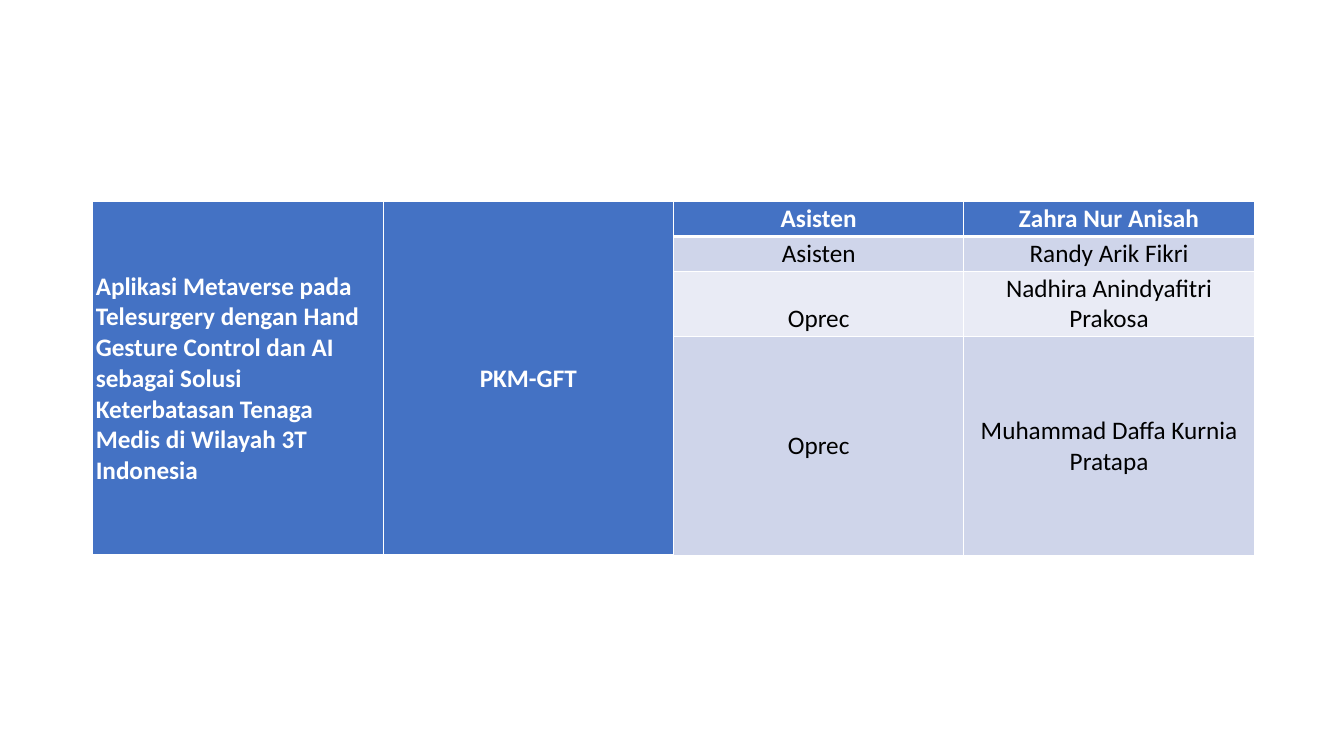
from dataclasses import dataclass

from lxml.etree import SubElement
from pptx import Presentation
from pptx.dml.color import RGBColor
from pptx.enum.text import MSO_ANCHOR as Anchor, PP_ALIGN as Align
from pptx.oxml.ns import qn
from pptx.table import Table, _Cell as Cell
from pptx.util import Inches, Pt

WHITE = RGBColor(0xFF, 0xFF, 0xFF)
BLACK = RGBColor(0x00, 0x00, 0x00)
BLUE = RGBColor(0x44, 0x72, 0xC4)
BAND_DARK = RGBColor(0xCF, 0xD5, 0xEA)
BAND_LIGHT = RGBColor(0xE9, 0xEB, 0xF5)

ROWS, COLUMNS = 4, 4
COLUMN_WIDTH, ROW_HEIGHT = Inches(2.88), Inches(0.22)
CELL_FORMAT = {
    "margin_left": Inches(0.03),
    "margin_right": Inches(0.03),
    "margin_top": Inches(0.02),
    "margin_bottom": Inches(0.02),
}
HEADER_BORDERS = {"lnL": 1, "lnR": 1, "lnT": 1, "lnB": 3}

TITLE = (
    "Aplikasi Metaverse pada Telesurgery dengan Hand Gesture Control dan AI "
    "sebagai Solusi Keterbatasan Tenaga Medis di Wilayah 3T Indonesia"
)


@dataclass
class Entry:
    row: int
    column: int
    text: str
    anchor: Anchor = Anchor.MIDDLE
    align: Align = Align.CENTER
    row_span: int = 1


ENTRIES = [
    Entry(0, 0, TITLE, align=Align.LEFT, row_span=ROWS),
    Entry(0, 1, "PKM-GFT", row_span=ROWS),
    Entry(0, 2, "Asisten"),
    Entry(0, 3, "Zahra Nur Anisah"),
    Entry(1, 2, "Asisten", Anchor.BOTTOM),
    Entry(1, 3, "Randy Arik Fikri"),
    Entry(2, 2, "Oprec", Anchor.BOTTOM),
    Entry(2, 3, "Nadhira Anindyafitri Prakosa", Anchor.BOTTOM),
    Entry(3, 2, "Oprec"),
    Entry(3, 3, "Muhammad Daffa Kurnia Pratapa"),
]


def add_header_borders(cell: Cell) -> None:
    properties = cell._tc.get_or_add_tcPr()
    for tag, width in HEADER_BORDERS.items():
        line = SubElement(properties, qn(f"a:{tag}"), w=str(Pt(width)))
        fill = SubElement(line, qn("a:solidFill"))
        SubElement(fill, qn("a:srgbClr"), val=str(WHITE))


def fill_cell(table: Table, entry: Entry) -> None:
    cell = table.cell(entry.row, entry.column)
    if entry.row_span > 1:
        cell.merge(table.cell(entry.row + entry.row_span - 1, entry.column))
    is_header = entry.row == 0
    if is_header:
        add_header_borders(cell)
        color = BLUE
    else:
        color = BAND_DARK if entry.row % 2 else BAND_LIGHT
    cell.fill.solid()
    cell.fill.fore_color.rgb = color
    for name, value in {**CELL_FORMAT, "vertical_anchor": entry.anchor}.items():
        setattr(cell, name, value)

    paragraph = cell.text_frame.paragraphs[0]
    paragraph.alignment = entry.align
    run = paragraph.add_run()
    run.text = entry.text
    font_format = {"name": "Calibri", "size": Pt(18), "bold": is_header}
    for name, value in font_format.items():
        setattr(run.font, name, value)
    run.font.color.rgb = WHITE if is_header else BLACK


def main() -> None:
    presentation = Presentation()
    presentation.slide_width = Inches(13.33)
    presentation.slide_height = Inches(7.5)
    slide = presentation.slides.add_slide(presentation.slide_layouts[6])
    frame = slide.shapes.add_table(
        ROWS, COLUMNS, Inches(0.92), Inches(2),
        COLUMN_WIDTH * COLUMNS, ROW_HEIGHT * ROWS,
    )
    frame.height = Inches(2.14)
    for entry in ENTRIES:
        fill_cell(frame.table, entry)
    presentation.save("out.pptx")


if __name__ == "__main__":
    main()
